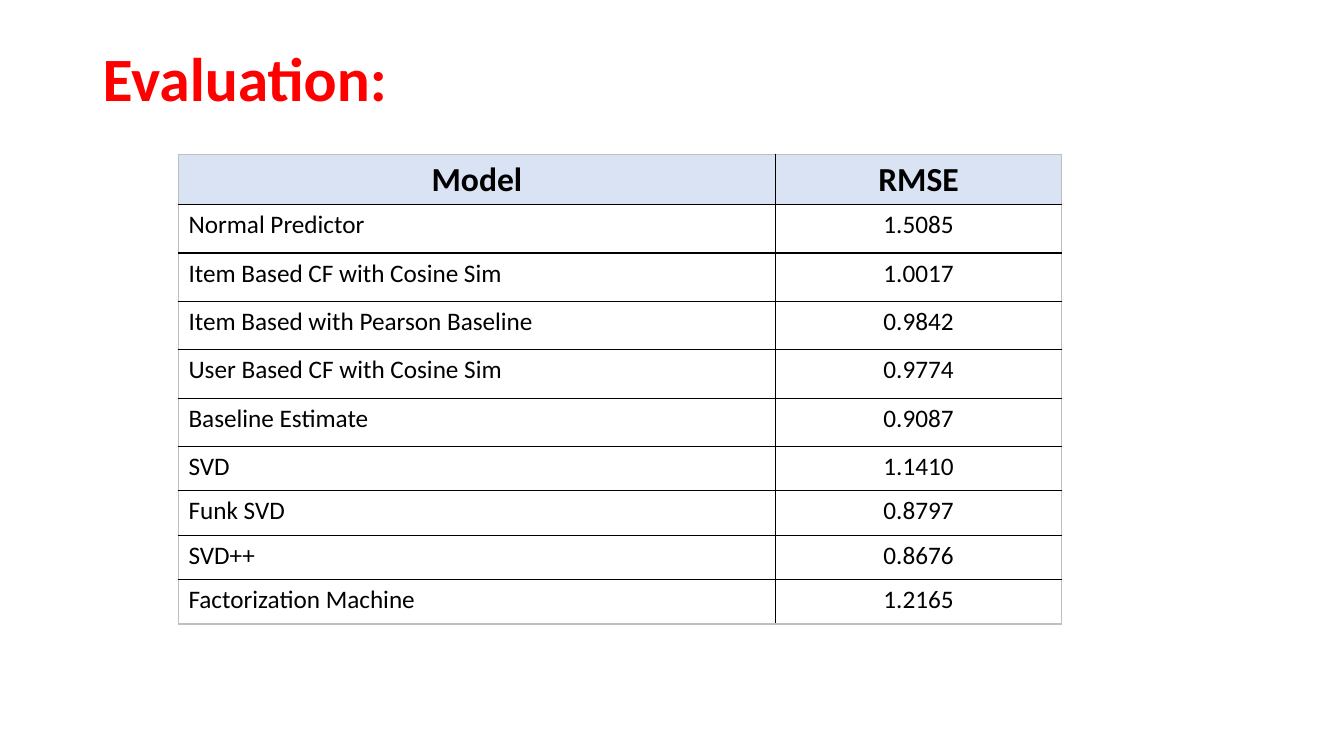
from lxml.etree import SubElement
from pptx import Presentation
from pptx.dml.color import RGBColor
from pptx.enum.text import MSO_ANCHOR, PP_ALIGN
from pptx.oxml.ns import qn
from pptx.util import Inches, Pt

SLIDE_WIDTH, SLIDE_HEIGHT = Inches(13.33), Inches(7.5)
INK, RULE, FRAME = "000000", "000000", "BFBFBF"
HEADER_FILL = "DAE3F3"
TITLE_FORMAT = {"name": "Calibri", "size": Pt(44), "bold": True}
HEADER_FORMAT = {"name": "Calibri", "size": Pt(24), "bold": True}
BODY_FORMAT = {"name": "Calibri", "size": Pt(18), "bold": False}
COLUMN_SHARES = [44.41, 21.31]
ROW_SHARES = [6.4] * 6 + [5.87] * 4
SCORES = [
    ("Model", "RMSE"),
    ("Normal Predictor", "1.5085"),
    ("Item Based CF with Cosine Sim", "1.0017"),
    ("Item Based with Pearson Baseline", "0.9842"),
    ("User Based CF with Cosine Sim", "0.9774"),
    ("Baseline Estimate", "0.9087"),
    ("SVD", "1.1410"),
    ("Funk SVD", "0.8797"),
    ("SVD++", "0.8676"),
    ("Factorization Machine", "1.2165"),
]


def across(percent):
    return round(SLIDE_WIDTH * percent / 100)


def down(percent):
    return round(SLIDE_HEIGHT * percent / 100)


def color(value):
    return RGBColor.from_string(value)


def write(paragraph, wording, text_format, ink):
    run = paragraph.add_run()
    run.text = wording
    for attribute, value in text_format.items():
        setattr(run.font, attribute, value)
    run.font.color.rgb = color(ink)


def add_title(slide, wording):
    title = slide.shapes.add_textbox(across(6.9), down(1.07), across(86.25), down(19.33))
    title.text_frame.word_wrap = True
    title.text_frame.vertical_anchor = MSO_ANCHOR.MIDDLE
    heading = title.text_frame.paragraphs[0]
    heading.line_spacing = 0.9
    write(heading, wording, TITLE_FORMAT, "FF0000")


def set_borders(cell, edges):
    properties = cell._tc.get_or_add_tcPr()
    for position, (edge, ink) in enumerate(edges.items()):
        border = SubElement(properties, qn(f"a:{edge}"), w=str(Pt(1)))
        fill = SubElement(border, qn("a:solidFill"))
        SubElement(fill, qn("a:srgbClr"), val=ink)
        properties.insert(position, border)


def fill_cell(cell, wording, is_header, is_model):
    if is_header:
        cell.fill.solid()
        cell.fill.fore_color.rgb = color(HEADER_FILL)
    else:
        cell.fill.background()
    entry = cell.text_frame.paragraphs[0]
    entry.alignment = PP_ALIGN.LEFT if is_model and not is_header else PP_ALIGN.CENTER
    write(entry, wording, HEADER_FORMAT if is_header else BODY_FORMAT, INK)


def add_scores(slide):
    scores = slide.shapes.add_table(
        len(SCORES), len(COLUMN_SHARES), across(13.28), down(20.4),
        across(sum(COLUMN_SHARES)), down(sum(ROW_SHARES)),
    ).table
    scores.first_row = scores.horz_banding = False
    for column, share in zip(scores.columns, COLUMN_SHARES):
        column.width = across(share)
    for row, share in zip(scores.rows, ROW_SHARES):
        row.height = down(share)
    last_row, last_column = len(SCORES) - 1, len(COLUMN_SHARES) - 1
    for r, record in enumerate(SCORES):
        for c, wording in enumerate(record):
            cell = scores.cell(r, c)
            fill_cell(cell, wording, r == 0, c == 0)
            set_borders(cell, {
                "lnL": FRAME if c == 0 else RULE,
                "lnR": FRAME if c == last_column else RULE,
                "lnT": FRAME if r == 0 else RULE,
                "lnB": FRAME if r == last_row else RULE,
            })


def main():
    deck = Presentation()
    deck.slide_width, deck.slide_height = SLIDE_WIDTH, SLIDE_HEIGHT
    slide = deck.slides.add_slide(deck.slide_layouts[6])
    add_title(slide, "Evaluation:")
    add_scores(slide)
    deck.save("out.pptx")


if __name__ == "__main__":
    main()
